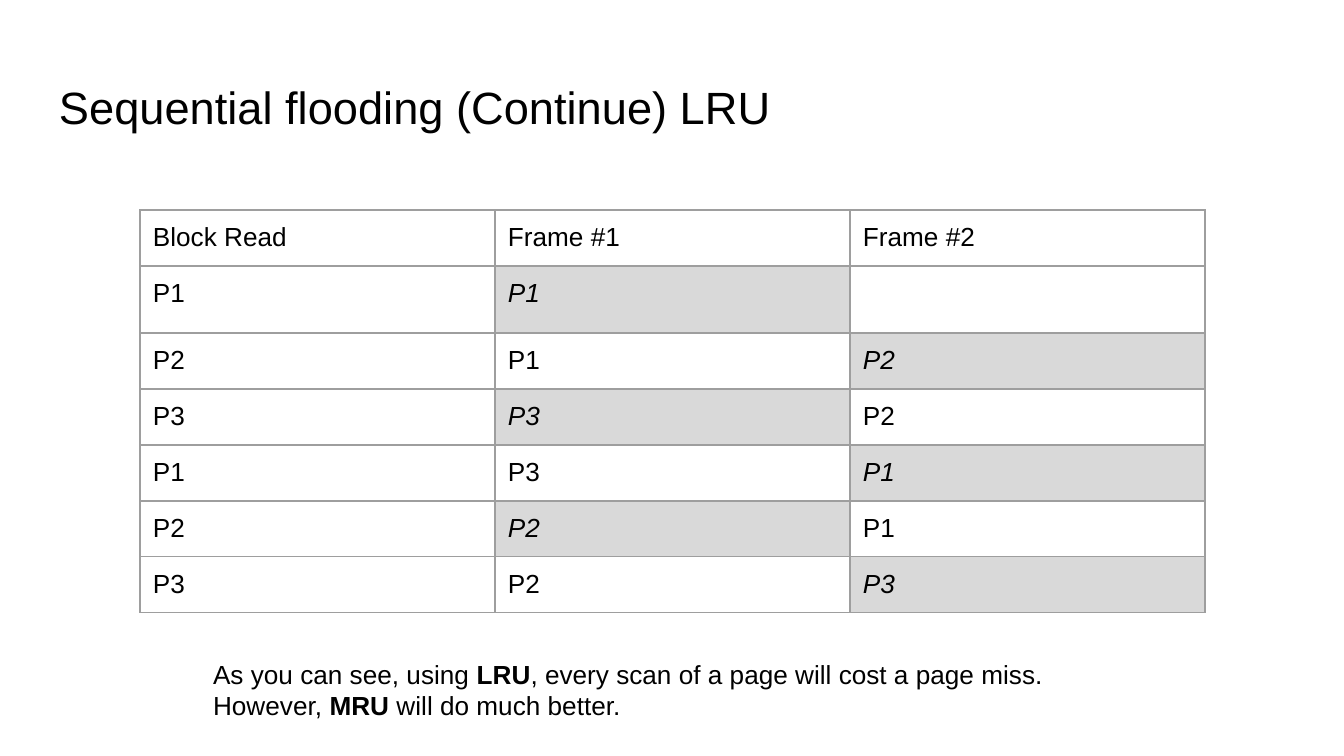
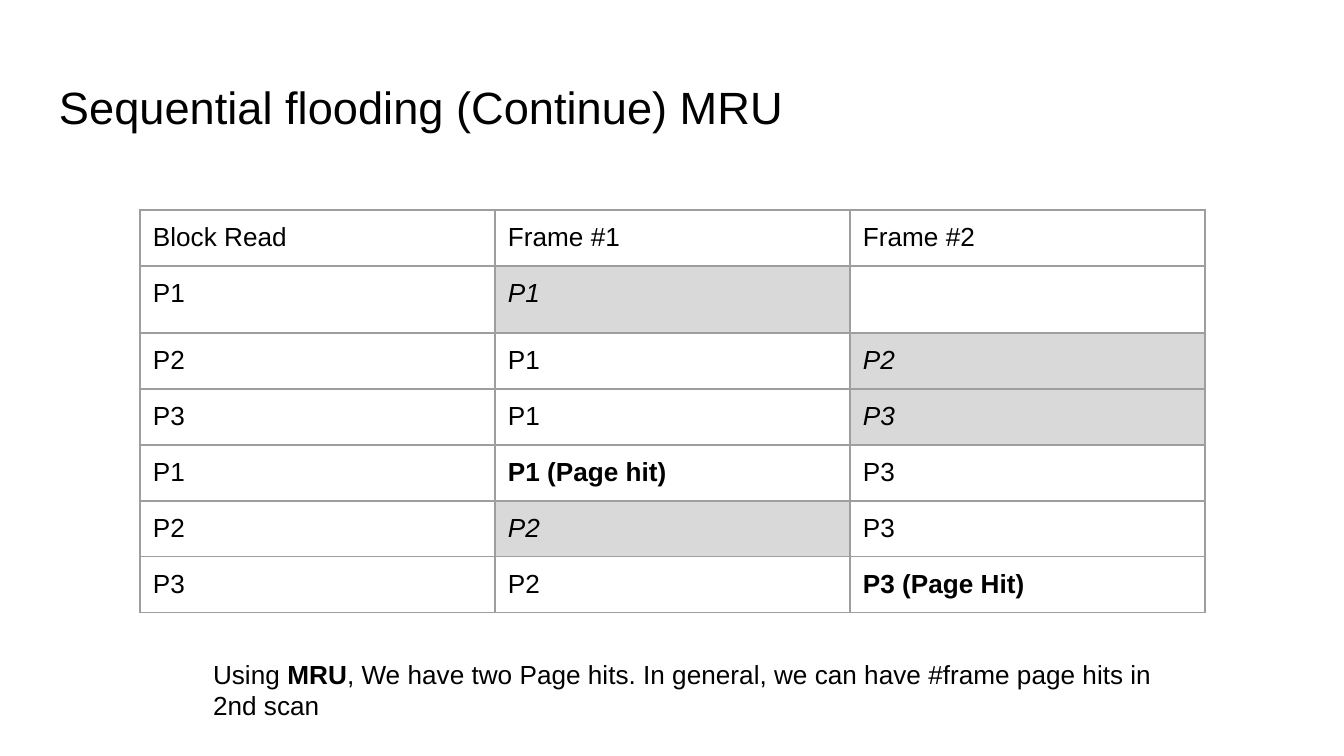
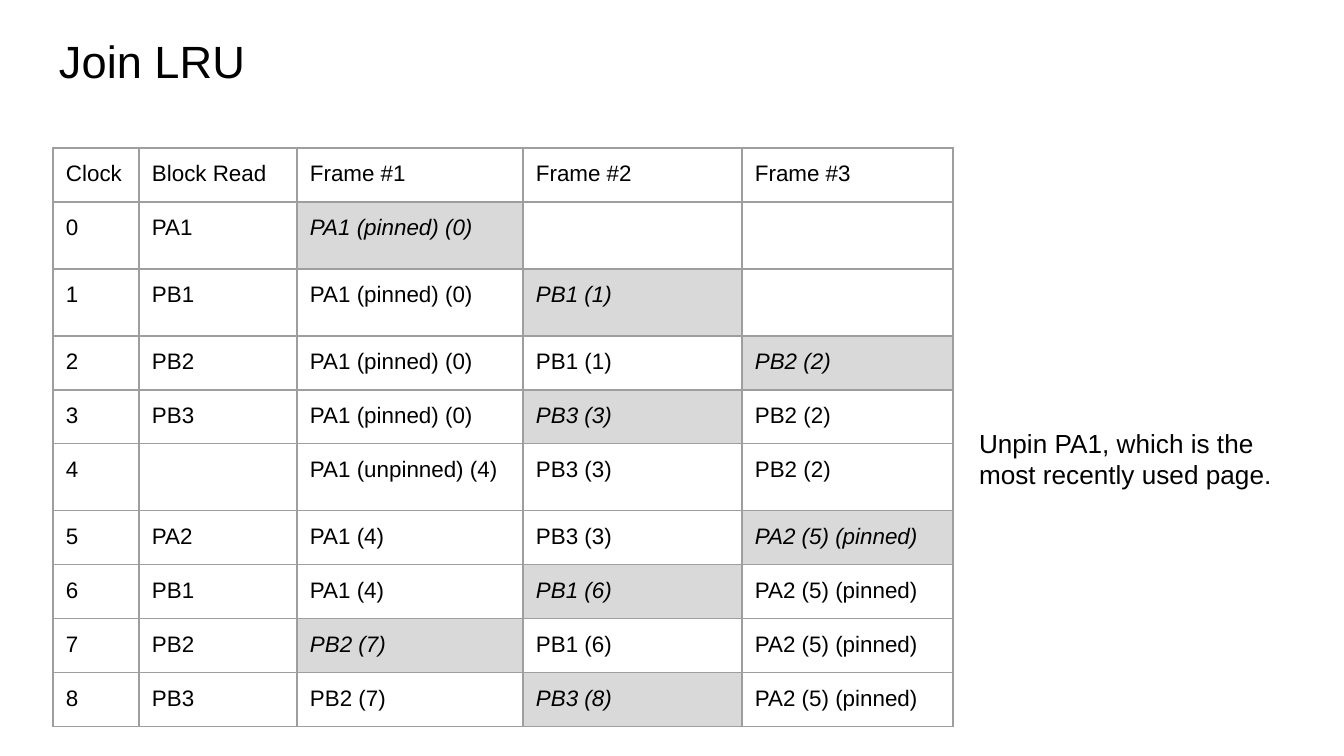
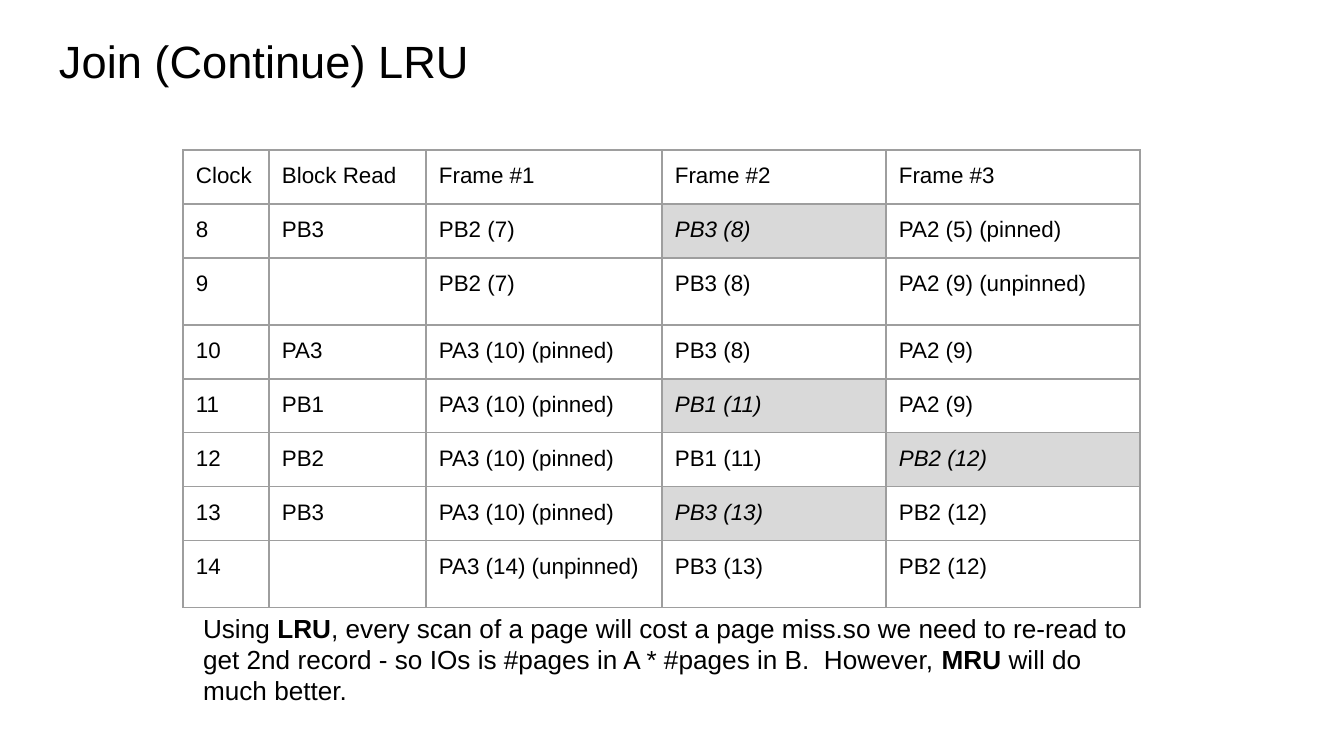
from dataclasses import dataclass

import lxml.etree
import pptx
import pptx.dml.color
import pptx.enum.text
import pptx.oxml.ns
import pptx.util

PIXEL = 914400 / 134.4  # EMU in one pixel
INSET = 13


def px(pixels: int) -> int:
    return round(pixels * PIXEL)


# Theme
@dataclass(frozen=True)
class Theme:
    font: str = "Arial"
    ink: str = "000000"
    paper: str = "FFFFFF"
    loaded: str = "D9D9D9"
    border: str = "9E9E9E"
    border_pt: float = 0.75
    title_pt: float = 24.2
    note_pt: float = 14


THEME = Theme()


# Content types
@dataclass(frozen=True)
class Entry:
    """One table cell; a page just loaded is shaded, a page hit is bold."""
    text: str
    loaded: bool = False
    hit: bool = False


@dataclass(frozen=True)
class Box:
    left: int
    top: int
    width: int
    height: int


@dataclass(frozen=True)
class Trace:
    """A buffer trace table."""
    left: int
    top: int
    columns: list[int]
    row_height: int
    text_pt: float
    rows: list[list[str | Entry]]


@dataclass(frozen=True)
class Page:
    title: str
    title_top: int
    trace: Trace
    note: str  # ** surrounds bold words
    note_box: Box


def new(text: str) -> Entry:
    return Entry(text, loaded=True)


def hit(text: str) -> Entry:
    return Entry(text, hit=True)


# Drawing
def rgb(value: str) -> pptx.dml.color.RGBColor:
    return pptx.dml.color.RGBColor.from_string(value)


def style_run(run, size: float, bold: bool = False, italic: bool = False) -> None:
    run.font.name = THEME.font
    run.font.size = pptx.util.Pt(size)
    run.font.bold = bold
    run.font.italic = italic
    run.font.color.rgb = rgb(THEME.ink)


def set_insets(frame) -> None:
    frame.margin_left = frame.margin_right = px(INSET)
    frame.margin_top = frame.margin_bottom = px(INSET)


def draw_title(slide, text: str, top: int) -> None:
    title = slide.shapes.title
    title.left, title.top, title.width, title.height = map(px, (46, top, 1253, 75))
    frame = title.text_frame
    frame.text = text
    frame.auto_size = pptx.enum.text.MSO_AUTO_SIZE.NONE
    frame.vertical_anchor = pptx.enum.text.MSO_ANCHOR.TOP
    set_insets(frame)
    frame.paragraphs[0].alignment = pptx.enum.text.PP_ALIGN.LEFT
    style_run(frame.paragraphs[0].runs[0], THEME.title_pt)


def draw_borders(cell) -> None:
    qn = pptx.oxml.ns.qn
    properties = cell._tc.get_or_add_tcPr()
    for side in ("a:lnL", "a:lnR", "a:lnT", "a:lnB"):
        line = lxml.etree.SubElement(
            properties, qn(side), w=str(pptx.util.Pt(THEME.border_pt)))
        fill = lxml.etree.SubElement(line, qn("a:solidFill"))
        lxml.etree.SubElement(fill, qn("a:srgbClr"), val=THEME.border)


def draw_cell(cell, entry: Entry, size: float) -> None:
    cell.margin_left = cell.margin_right = px(INSET)
    cell.margin_top = cell.margin_bottom = px(INSET)
    draw_borders(cell)
    cell.fill.solid()
    cell.fill.fore_color.rgb = rgb(THEME.loaded if entry.loaded else THEME.paper)
    if entry.text:
        cell.text_frame.text = entry.text
        style_run(cell.text_frame.paragraphs[0].runs[0], size,
                  bold=entry.hit, italic=entry.loaded)


def draw_trace(slide, trace: Trace) -> None:
    table = slide.shapes.add_table(
        len(trace.rows), len(trace.columns), px(trace.left), px(trace.top),
        px(sum(trace.columns)), px(trace.row_height * len(trace.rows))).table
    table.first_row = table.horz_banding = False
    for column, width in zip(table.columns, trace.columns):
        column.width = px(width)
    for row, entries in zip(table.rows, trace.rows):
        row.height = px(trace.row_height)
        for cell, entry in zip(row.cells, entries):
            if isinstance(entry, str):
                entry = Entry(entry)
            draw_cell(cell, entry, trace.text_pt)


def draw_note(slide, text: str, box: Box) -> None:
    frame = slide.shapes.add_textbox(
        px(box.left), px(box.top), px(box.width), px(box.height)).text_frame
    frame.word_wrap = True
    frame.auto_size = pptx.enum.text.MSO_AUTO_SIZE.SHAPE_TO_FIT_TEXT
    set_insets(frame)
    for index, part in enumerate(text.split("**")):
        run = frame.paragraphs[0].add_run()
        run.text = part
        style_run(run, THEME.note_pt, bold=index % 2 == 1)


# Content
FLOODING_HEAD = ["Block Read", "Frame #1", "Frame #2"]
JOIN_HEAD = ["Clock", *FLOODING_HEAD, "Frame #3"]
FLOODING_NOTE = Box(200, 645, 969, 90)


def flooding(rows: list[list[str | Entry]]) -> Trace:
    return Trace(140, 210, [355] * 3, 56, 14, [FLOODING_HEAD, *rows])


def join(left: int, top: int, columns: list[int],
         rows: list[list[str | Entry]]) -> Trace:
    return Trace(left, top, columns, 54, 12, [JOIN_HEAD, *rows])


PAGES = [
    Page("Sequential flooding (Continue) LRU", 66, flooding([
        ["P1", new("P1"), ""],
        ["P2", "P1", new("P2")],
        ["P3", new("P3"), "P2"],
        ["P1", "P3", new("P1")],
        ["P2", new("P2"), "P1"],
        ["P3", "P2", new("P3")],
    ]), "As you can see, using **LRU**, every scan of a page will cost a page "
        "miss. However, **MRU** will do much better.", FLOODING_NOTE),
    Page("Sequential flooding (Continue) MRU", 66, flooding([
        ["P1", new("P1"), ""],
        ["P2", "P1", new("P2")],
        ["P3", "P1", new("P3")],
        ["P1", hit("P1 (Page hit)"), "P3"],
        ["P2", new("P2"), "P3"],
        ["P3", "P2", hit("P3 (Page Hit)")],
    ]), "Using **MRU**, We have two Page hits. In general, we can have #frame "
        "page hits in 2nd scan", FLOODING_NOTE),
    Page("Join LRU", 20, join(53, 148, [86, 158, 226, 219, 211], [
        ["0", "PA1", new("PA1 (pinned) (0)"), "", ""],
        ["1", "PB1", "PA1 (pinned) (0)", new("PB1 (1)"), ""],
        ["2", "PB2", "PA1 (pinned) (0)", "PB1 (1)", new("PB2 (2)")],
        ["3", "PB3", "PA1 (pinned) (0)", new("PB3 (3)"), "PB2 (2)"],
        ["4", "", "PA1 (unpinned) (4)", "PB3 (3)", "PB2 (2)"],
        ["5", "PA2", "PA1 (4)", "PB3 (3)", new("PA2 (5) (pinned)")],
        ["6", "PB1", "PA1 (4)", new("PB1 (6)"), "PA2 (5) (pinned)"],
        ["7", "PB2", new("PB2 (7)"), "PB1 (6)", "PA2 (5) (pinned)"],
        ["8", "PB3", "PB2 (7)", new("PB3 (8)"), "PA2 (5) (pinned)"],
    ]), "Unpin PA1, which is the most recently used page.",
         Box(966, 414, 364, 90)),
    Page("Join (Continue) LRU", 20, join(183, 150, [86, 157, 236, 224, 254], [
        ["8", "PB3", "PB2 (7)", new("PB3 (8)"), "PA2 (5) (pinned)"],
        ["9", "", "PB2 (7)", "PB3 (8)", "PA2 (9) (unpinned)"],
        ["10", "PA3", "PA3 (10) (pinned)", "PB3 (8)", "PA2 (9)"],
        ["11", "PB1", "PA3 (10) (pinned)", new("PB1 (11)"), "PA2 (9)"],
        ["12", "PB2", "PA3 (10) (pinned)", "PB1 (11)", new("PB2 (12)")],
        ["13", "PB3", "PA3 (10) (pinned)", new("PB3 (13)"), "PB2 (12)"],
        ["14", "", "PA3 (14) (unpinned)", "PB3 (13)", "PB2 (12)"],
    ]), "Using **LRU**, every scan of a page will cost a page miss.so we need "
        "to re-read to get 2nd record - so IOs is #pages in A * #pages in B.  "
        "However, **MRU** will do much better.", Box(190, 599, 969, 122)),
]

# Slides
deck = pptx.Presentation()
deck.slide_width, deck.slide_height = px(1344), px(756)
title_only = deck.slide_layouts.get_by_name("Title Only")
for page in PAGES:
    slide = deck.slides.add_slide(title_only)
    draw_trace(slide, page.trace)
    draw_title(slide, page.title, page.title_top)
    draw_note(slide, page.note, page.note_box)
deck.save("out.pptx")
